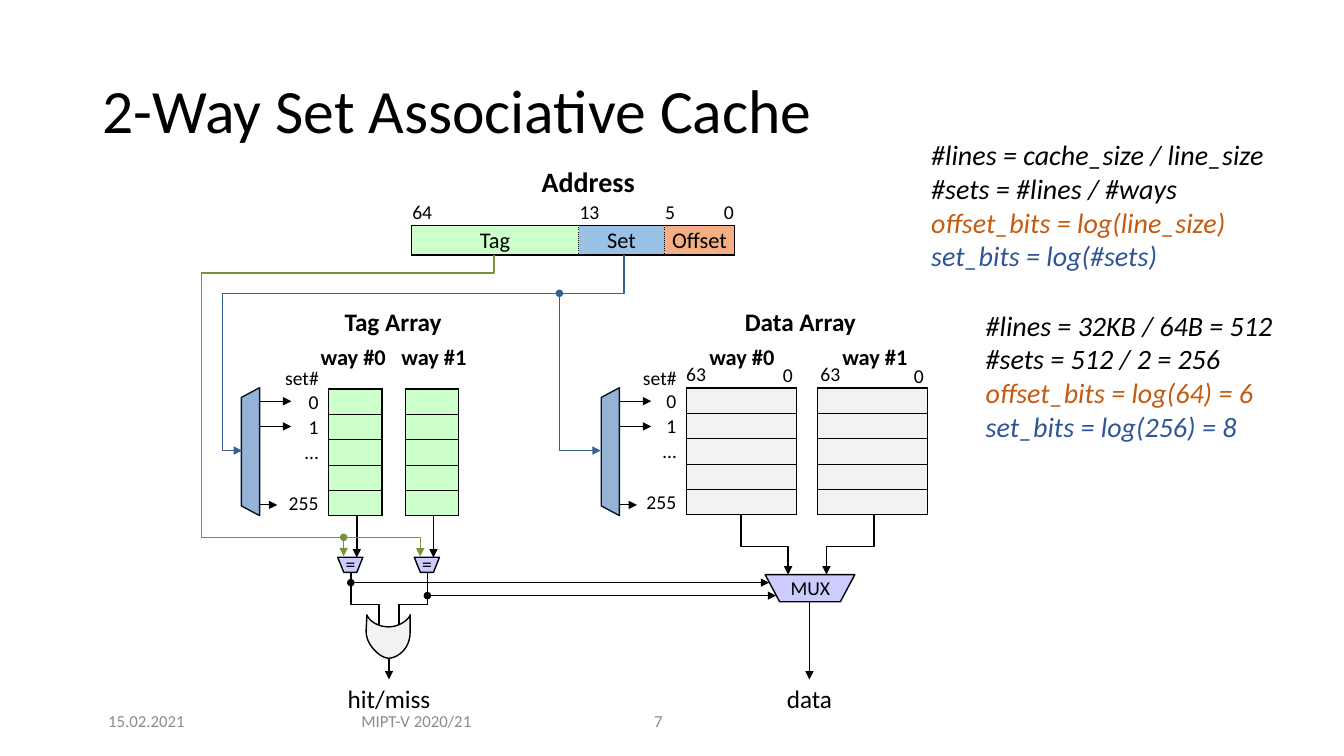
from lxml import etree
from pptx import Presentation
from pptx.dml.color import RGBColor
from pptx.enum.shapes import MSO_CONNECTOR, MSO_SHAPE
from pptx.enum.text import MSO_ANCHOR, PP_ALIGN
from pptx.oxml.ns import qn
from pptx.util import Pt

LEFT, CENTER, RIGHT = PP_ALIGN.LEFT, PP_ALIGN.CENTER, PP_ALIGN.RIGHT
TOP, MIDDLE, BOTTOM = MSO_ANCHOR.TOP, MSO_ANCHOR.MIDDLE, MSO_ANCHOR.BOTTOM
STRAIGHT = MSO_CONNECTOR.STRAIGHT
TRAPEZOID, OVAL = MSO_SHAPE.TRAPEZOID, MSO_SHAPE.OVAL

FONT = "Calibri"
BLACK, WHITE, GREY = "000000", "FFFFFF", "8C8C8C"
TAG_FILL, SET_FILL, OFFSET_FILL = "CCFFCC", "9BC2E6", "F4B084"
DATA_FILL, LOGIC_FILL = "F2F2F2", "CCCCFF"
DECODER_FILL, DECODER_LINE = "95B3D7", "061922"
TAG_WIRE, SET_WIRE = "77933C", "376092"
OFFSET_TEXT, SET_TEXT = "C55A11", "2F5597"
SOLID, THIN, DOTTED = (1, "solid"), (0.5, "solid"), (0.5, "dot")
DATA_SHIFT = 257.04
WAY_STEP = 54.7


def paint(fill, color):
    if color is None:
        fill.background()
    else:
        fill.solid()
        fill.fore_color.rgb = RGBColor.from_string(color)


def outline(shape, color, width):
    paint(shape.line.fill, color)
    shape.line.width = Pt(width)


def write(paragraph, text, size, color=BLACK, align=LEFT, bold=False, italic=False):
    paragraph.alignment = align
    run = paragraph.add_run()
    run.text = text
    run.font.name, run.font.size = FONT, Pt(size)
    run.font.bold, run.font.italic = bold, italic
    run.font.color.rgb = RGBColor.from_string(color)


def add_label(slide, box, lines, size, anchor=TOP, wrap=False, spacing=None, **style):
    frame = slide.shapes.add_textbox(*map(Pt, box)).text_frame
    frame.word_wrap = wrap
    frame.vertical_anchor = anchor
    for index, (text, color) in enumerate(lines):
        paragraph = frame.add_paragraph() if index else frame.paragraphs[0]
        if spacing:
            paragraph.line_spacing = spacing
        write(paragraph, text, size, color, **style)


def add_block(slide, kind, box, fill, line=BLACK, turn=0, slant=None):
    block = slide.shapes.add_shape(kind, *map(Pt, box))
    block.shadow.inherit = False
    block.rotation = turn
    if slant:
        block.adjustments[0] = slant
    paint(block.fill, fill)
    outline(block, line, 1)


def add_dot(slide, x, y, color=BLACK):
    add_block(slide, OVAL, (x - 2.15, y - 2.15, 4.3, 4.3), color, color)


def add_outline(slide, points, fill, closed):
    start, *rest = [(Pt(x), Pt(y)) for x, y in points]
    builder = slide.shapes.build_freeform(*start)
    builder.add_line_segments(rest, close=closed)
    shape = builder.convert_to_shape()
    shape.shadow.inherit = False
    paint(shape.fill, fill)
    return shape


def add_wire(slide, points, color=BLACK, width=1, arrow=True):
    if len(points) == 2:
        (x1, y1), (x2, y2) = points
        wire = slide.shapes.add_connector(STRAIGHT, Pt(x1), Pt(y1), Pt(x2), Pt(y2))
        outline(wire, color, width)
        etree.SubElement(wire._element.spPr, qn("a:effectLst"))
    else:
        wire = add_outline(slide, points, None, False)
        outline(wire, color, width)
    if arrow:
        etree.SubElement(wire.line._get_or_add_ln(), qn("a:tailEnd"), type="triangle")


def bezier(start, c1, c2, end, steps=12):
    weights = [((1 - t) ** 3, 3 * t * (1 - t) ** 2, 3 * t * t * (1 - t), t ** 3)
               for t in (step / steps for step in range(steps + 1))]
    return [tuple(sum(w * p[axis] for w, p in zip(row, (start, c1, c2, end)))
                  for axis in (0, 1)) for row in weights]


def add_grid(slide, left, top, widths, heights):
    frame = slide.shapes.add_table(len(heights), len(widths), Pt(left), Pt(top),
                                   Pt(sum(widths)), Pt(sum(heights)))
    grid = frame.table
    grid.first_row = grid.horz_banding = False
    for column, width in zip(grid.columns, widths):
        column.width = Pt(width)
    for row, height in zip(grid.rows, heights):
        row.height = Pt(height)
    return grid


def fill_cell(cell, text, size, fill, borders, align=LEFT, anchor=MIDDLE, right=0.7):
    cell.margin_left = cell.margin_top = Pt(0.7)
    cell.margin_right, cell.margin_bottom = Pt(right), 0
    cell.vertical_anchor = anchor
    paragraph = cell.text_frame.paragraphs[0]
    if text:
        write(paragraph, text, size, align=align)
    else:
        paragraph._p.get_or_add_endParaRPr().set("sz", "800")
    properties = cell._tc.get_or_add_tcPr()
    for side in "LRTB":
        width, dash = borders.get(side, (0, None))
        edge = etree.SubElement(properties, qn("a:ln" + side), w=str(Pt(width)))
        if dash:
            solid = etree.SubElement(edge, qn("a:solidFill"))
            etree.SubElement(solid, qn("a:srgbClr"), val=BLACK)
            etree.SubElement(edge, qn("a:prstDash"), val=dash)
        else:
            etree.SubElement(edge, qn("a:noFill"))
    paint(cell.fill, fill)


def add_address(slide):
    grid = add_grid(slide, 293.8, 142.6, (119.5, 24.5, 36.7, 25.2, 25.2), (18.7, 20.9))
    for column, bit in enumerate(("64", "13", "", "5", "0")):
        fill_cell(grid.cell(0, column), bit, 14, WHITE, {"B": SOLID},
                  RIGHT if bit == "0" else LEFT)
    fields = (("Tag", 0, 0, TAG_FILL), ("Set", 1, 2, SET_FILL), ("Offset", 3, 4, OFFSET_FILL))
    for name, first, last, fill in fields:
        for column in range(first, last + 1):
            borders = {"T": SOLID, "B": SOLID,
                       "L": DOTTED if first else SOLID,
                       "R": SOLID if last == 4 else DOTTED}
            fill_cell(grid.cell(1, column), name if column == first else "", 16,
                      fill, borders, CENTER)
        if last > first:
            grid.cell(1, first).merge(grid.cell(1, last))


def add_way(slide, left, top, widths, fill, label_fill=None):
    grid = add_grid(slide, left, top, widths, [18.14] * 5)
    for row, label in enumerate(("0", "1", "…", "", "255")):
        if len(widths) == 2:
            fill_cell(grid.cell(row, 0), label, 14, label_fill, {"R": SOLID},
                      RIGHT, BOTTOM, 7.2)
        fill_cell(grid.cell(row, len(widths) - 1), "", 14, fill,
                  {"L": SOLID, "R": SOLID,
                   "T": THIN if row else SOLID, "B": THIN if row < 4 else SOLID})


def add_decoder(slide, shift):
    add_block(slide, TRAPEZOID, (133.2 + shift, 316.1, 91.4, 13), DECODER_FILL,
              DECODER_LINE, 270, 0.535)
    for end, y in ((208.1, 286.6), (208.1, 304.6), (198, 360.7)):
        add_wire(slide, [(185.8 + shift, y), (end + shift, y)], width=0.75)


def add_comparator(slide, shift):
    add_wire(slide, [(254.9 + shift, 368.6), (254.9 + shift, 398.2)])
    add_block(slide, TRAPEZOID, (241.2 + shift, 398, 18, 10.8), LOGIC_FILL, turn=180, slant=0.4)
    add_label(slide, (239.8 + shift, 391, 21.6, 24.5), [("=", BLACK)], 14)


def add_or_gate(slide):
    points = [(293, 451.4)]
    points += bezier((293, 439.2), (292.3, 442.1), (285.8, 447.8), (277.6, 447.8))
    points += bezier((277.6, 447.8), (268.6, 447.8), (262.8, 442.1), (262.1, 439.2))
    points += bezier((261.5, 450.7), (261.5, 461.5), (272.2, 470.2), (277.6, 470.2))
    points += bezier((277.6, 470.2), (283, 470.2), (293, 464.4), (293, 451.4))
    outline(add_outline(slide, points, DATA_FILL, True), BLACK, 1)


def add_formulas(slide, box, formulas):
    colors = (BLACK, BLACK, OFFSET_TEXT, SET_TEXT)
    add_label(slide, box, zip(formulas, colors), 20, wrap=True, italic=True)


def main():
    deck = Presentation()
    deck.slide_width, deck.slide_height = Pt(960), Pt(540)
    slide = deck.slides.add_slide(deck.slide_layouts[6])

    add_label(slide, (66.2, 28.8, 828, 104.4), [("2-Way Set Associative Cache", BLACK)], 44,
              MIDDLE, True, 0.9)
    add_address(slide)
    add_way(slide, 201.6, 277.9, (33.1, 38.2), TAG_FILL, WHITE)
    add_way(slide, 289.4, 277.9, (38.2,), TAG_FILL)
    add_way(slide, 460.8, 277.2, (29.5, 78.5), DATA_FILL)
    add_way(slide, 583.9, 277.2, (78.5,), DATA_FILL)

    headings = (("Address", 348.5, 113.8, 143.3, 20), ("Tag Array", 234, 215.3, 93.6, 18),
                ("Data Array", 514.8, 215.3, 113.8, 18), ("way #0", 216, 241.2, 72.7, 16),
                ("way #1", 273.6, 241.2, 72.7, 16), ("way #0", 485.3, 241.2, 89.3, 16),
                ("way #1", 580.3, 241.2, 89.3, 16))
    for text, left, top, width, size in headings:
        add_label(slide, (left, top, width, size * 1.22 + 7.2), [(text, BLACK)], size,
                  wrap=True, align=CENTER, bold=True)
    for text, left, top, width in (("63", 483.1, 254.9, 28.8), ("0", 552.2, 255.6, 21.6),
                                   ("63", 578.9, 254.9, 28.8), ("0", 645.8, 256.3, 21.6),
                                   ("set#", 196.6, 257.8, 38.9), ("set#", 452.2, 257.8, 38.9)):
        add_label(slide, (left, top, width, 24.5), [(text, BLACK)], 14)
    for shift in (0, DATA_SHIFT):
        add_decoder(slide, shift)
    for shift in (0, WAY_STEP):
        add_comparator(slide, shift)

    add_wire(slide, [(352.8, 182.2), (352.8, 195.1), (144, 195.1), (144, 383.8),
                     (245.5, 383.8), (245.5, 397.4)], TAG_WIRE)
    add_wire(slide, [(245.5, 383.8), (300.2, 383.8), (300.2, 397.4)], TAG_WIRE)
    add_dot(slide, 245.5, 383.8, TAG_WIRE)
    add_wire(slide, [(445.7, 182.2), (445.7, 209.5), (159.1, 209.5), (159.1, 321.8),
                     (172.8, 321.8)], SET_WIRE)
    add_wire(slide, [(399.6, 209.5), (399.6, 321.8), (429.1, 321.8)], SET_WIRE)
    add_dot(slide, 399.6, 209.5, SET_WIRE)

    add_block(slide, TRAPEZOID, (546.5, 410.4, 64.1, 19.4), LOGIC_FILL, turn=180, slant=0.535)
    add_label(slide, (557.3, 407.5, 43.2, 24.5), [("MUX", BLACK)], 14, MIDDLE, align=CENTER)
    for way_x, mux_x in ((529.2, 563), (624.2, 590.4)):
        add_wire(slide, [(way_x, 367.9), (way_x, 390.2), (mux_x, 390.2), (mux_x, 410.4)])
    add_or_gate(slide)
    for match_x, gate_x, y, mux_x in ((250.6, 270.7, 416.2, 549.4), (305.3, 285.1, 425.5, 554.4)):
        add_wire(slide, [(match_x, 409), (match_x, 432), (gate_x, 432), (gate_x, 446.4)],
                 arrow=False)
        add_dot(slide, match_x, y)
        add_wire(slide, [(match_x, y), (mux_x, y)], width=0.75)
    for text, x, start, width in (("hit/miss", 277.9, 470.2, 74.2), ("data", 578.2, 429.8, 47.5)):
        add_wire(slide, [(x, start), (x, 485.3)])
        add_label(slide, (x - width / 2, 484.6, width, 28.8), [(text, BLACK)], 18, align=CENTER)

    add_formulas(slide, (658.1, 95, 316.8, 104.4),
                 ("#lines = cache_size / line_size", "#sets = #lines / #ways",
                  "offset_bits = log(line_size)", "set_bits = log(#sets)"))
    add_formulas(slide, (697, 216.7, 223.2, 104.4),
                 ("#lines = 32KB / 64B = 512", "#sets = 512 / 2 = 256",
                  "offset_bits = log(64) = 6", "set_bits = log(256) = 8"))
    for text, left, width, align in (("15.02.2021", 66.2, 77, CENTER),
                                     ("MIPT-V 2020/21", 240.5, 113.8, CENTER),
                                     ("7", 460.1, 56.9, LEFT)):
        add_label(slide, (left, 500.4, width, 28.8), [(text, GREY)], 12, MIDDLE, True, align=align)
    deck.save("out.pptx")


if __name__ == "__main__":
    main()
